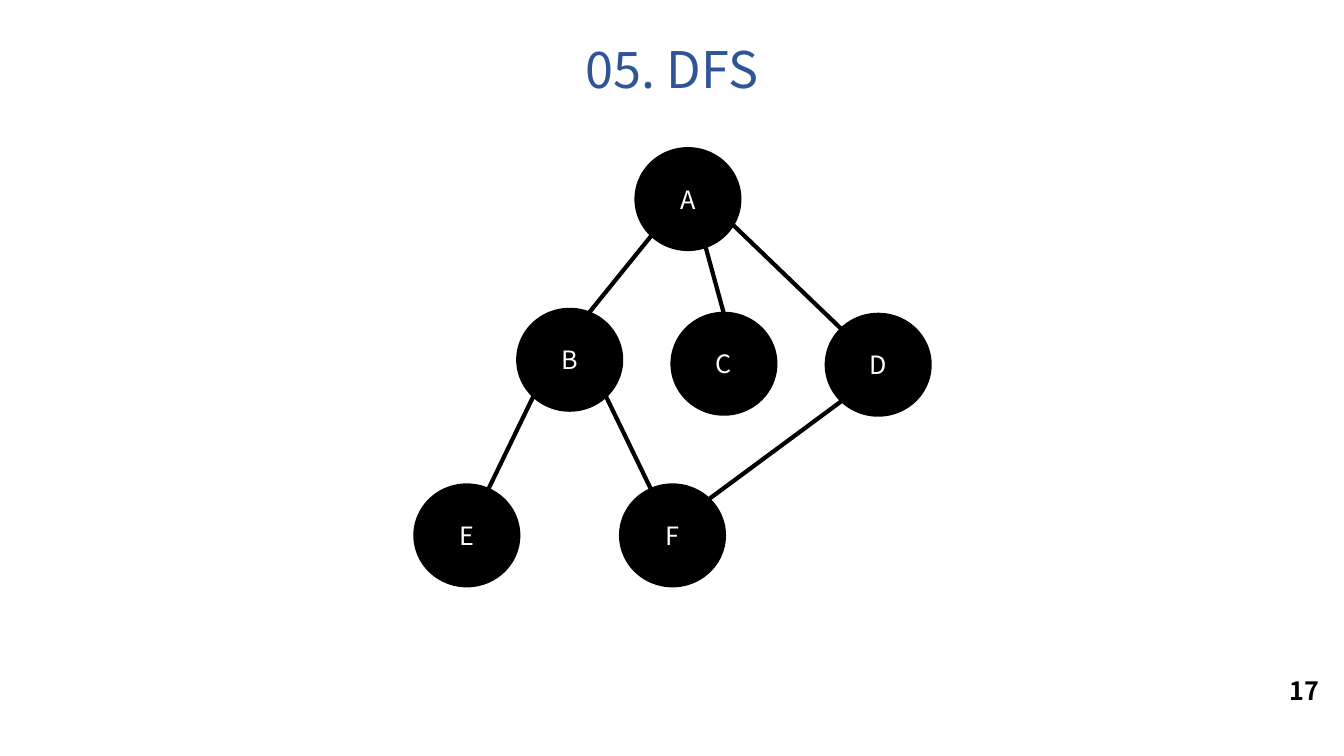
from lxml.etree import SubElement
from pptx import Presentation
from pptx.dml.color import RGBColor
from pptx.enum.shapes import MSO_CONNECTOR, MSO_SHAPE
from pptx.enum.text import MSO_ANCHOR, PP_ALIGN
from pptx.oxml.ns import qn
from pptx.util import Inches, Pt

FONT = "Noto Sans CJK KR"
BLACK, WHITE, BLUE = "000000", "FFFFFF", "2F5597"
WIDTH, HEIGHT = 13.33, 7.5
NODE_WIDTH, NODE_HEIGHT = 1.02, 0.99
COLUMN = NODE_WIDTH / 2

# Each node: column and row, counted in half node widths and node heights.
NODES = {
    "A": (4.3, 0),
    "B": (2, 1.61),
    "C": (5, 1.65),
    "D": (8, 1.66),
    "E": (0, 3.37),
    "F": (4, 3.37),
}
# Each edge: two nodes, with the joining point as shares of the node's size.
EDGES = [
    ("A", (0.15, 0.86), "B", (0.68, 0.04)),
    ("B", (0.15, 0.86), "E", (0.68, 0.1)),
    ("B", (0.85, 0.86), "F", (0.32, 0.1)),
    ("A", (0.64, 0.86), "C", (0.5, 0)),
    ("A", (0.92, 0.74), "D", (0.15, 0.15)),
    ("F", (0.85, 0.14), "D", (0.15, 0.86)),
]


def color(value):
    """Turn a hex string into a colour."""
    return RGBColor.from_string(value)


def write(shape, text, size, ink, align=PP_ALIGN.CENTER, bold=False):
    """Put one formatted line of text into a shape."""
    shape.text_frame.text = text
    para = shape.text_frame.paragraphs[0]
    para.alignment = align
    span = para.runs[0]
    span.font.name = FONT
    span.font.size = Pt(size)
    span.font.bold = bold
    span.font.color.rgb = color(ink)


def add_title(page, left, top, width, height):
    """Add the centred slide title."""
    box = page.shapes.add_textbox(*map(Inches, (left, top, width, height)))
    box.text_frame.word_wrap = True
    write(box, "05. DFS", 36, BLUE)


def add_page_number(page, left, top, width, height):
    """Add the page number."""
    box = page.shapes.add_textbox(*map(Inches, (left, top, width, height)))
    box.text_frame.word_wrap = False
    write(box, "17", 18, BLACK, PP_ALIGN.LEFT, True)


def add_node(group, name, left, top):
    """Add one labelled graph node."""
    node = group.shapes.add_shape(
        MSO_SHAPE.OVAL, *map(Inches, (left, top, NODE_WIDTH, NODE_HEIGHT)))
    node.shadow.inherit = False
    node.fill.solid()
    node.fill.fore_color.rgb = color(BLACK)
    node.line.color.rgb = color(BLACK)
    node.line.width = Pt(3)
    node.text_frame.vertical_anchor = MSO_ANCHOR.MIDDLE
    write(node, name, 18, WHITE)


def add_edge(group, start, end):
    """Add one straight edge between two points."""
    edge = group.shapes.add_connector(
        MSO_CONNECTOR.STRAIGHT, *map(Inches, (*start, *end)))
    edge.line.color.rgb = color(BLACK)
    edge.line.width = Pt(3)
    SubElement(edge._element.spPr, qn("a:effectLst"))


def add_graph(page, left, top):
    """Add the grouped graph of nodes and edges."""
    group = page.shapes.add_group_shape()
    corners = {name: (left + column * COLUMN, top + row * NODE_HEIGHT)
               for name, (column, row) in NODES.items()}

    def point(name, share):
        """Locate a joining point on a node."""
        x, y = corners[name]
        return x + share[0] * NODE_WIDTH, y + share[1] * NODE_HEIGHT

    for name, corner in corners.items():
        add_node(group, name, *corner)
    for first, first_share, second, second_share in EDGES:
        add_edge(group, point(first, first_share), point(second, second_share))


def main():
    """Build and save the deck."""
    deck = Presentation()
    deck.slide_width, deck.slide_height = Inches(WIDTH), Inches(HEIGHT)
    page = deck.slides.add_slide(deck.slide_layouts[6])
    add_page_number(page, 12.69, 6.65, 0.53, 0.4)
    add_graph(page, 4.12, 1.48)
    add_title(page, 0, 0.33, WIDTH, 0.72)
    deck.save("out.pptx")


if __name__ == "__main__":
    main()
